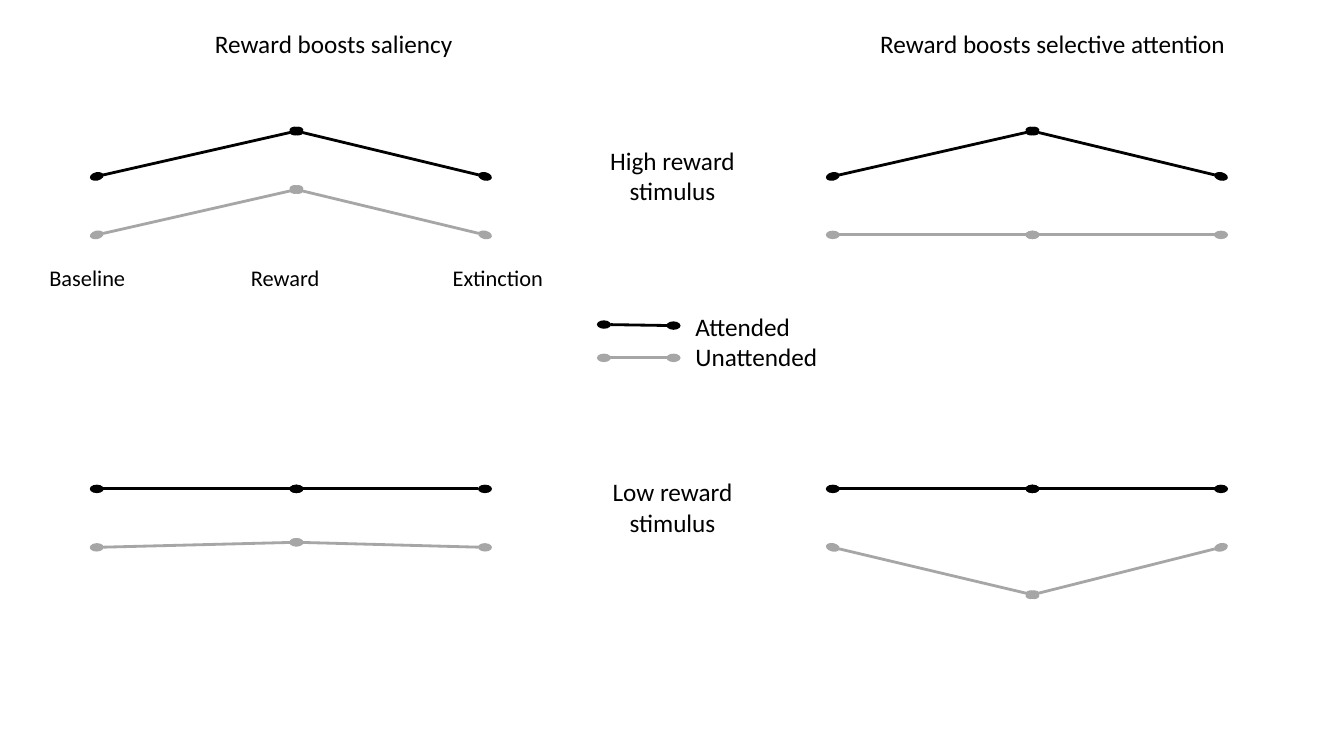
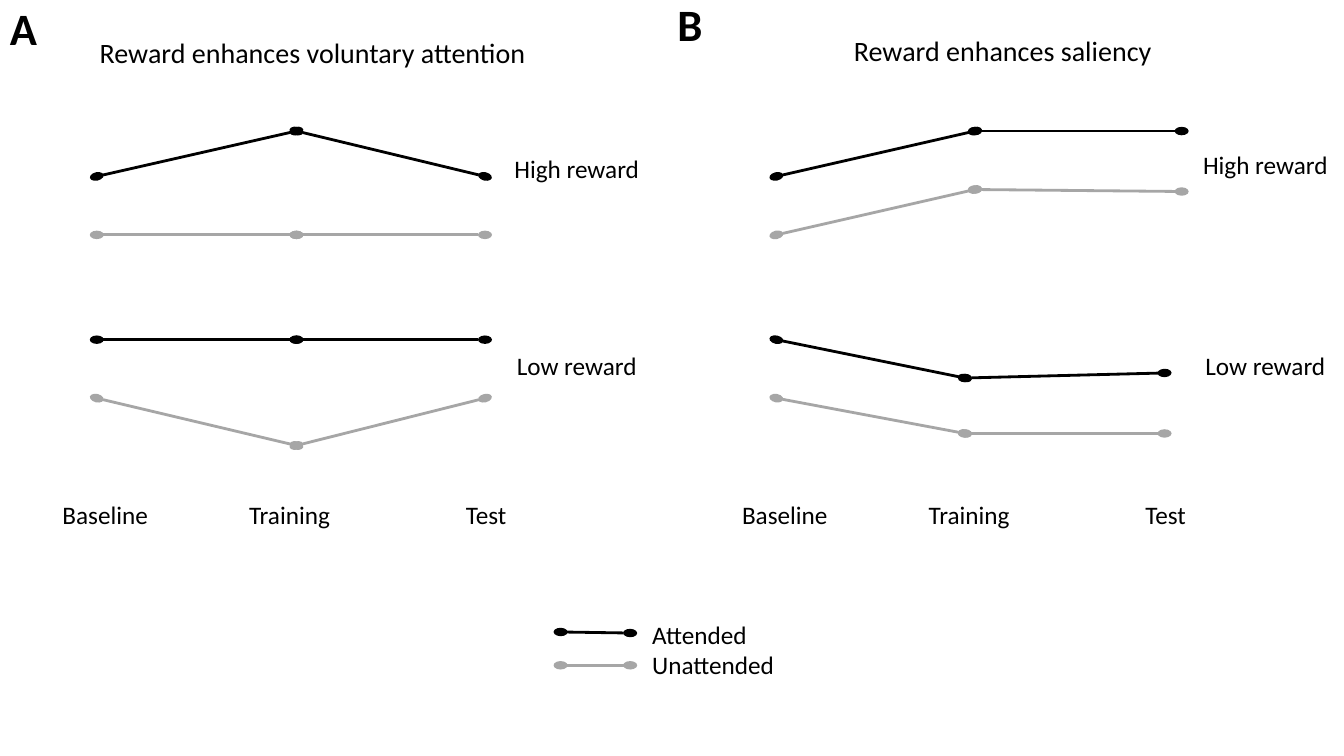
from dataclasses import dataclass
from itertools import pairwise

from lxml.etree import SubElement
from pptx import Presentation
from pptx.dml.color import RGBColor
from pptx.enum.shapes import MSO_CONNECTOR as Connector
from pptx.enum.text import MSO_AUTO_SIZE as AutoSize, PP_ALIGN as Align
from pptx.oxml.ns import qn
from pptx.util import Inches, Pt


@dataclass(frozen=True)
class Theme:
    font: str = "Calibri"
    ink: RGBColor = RGBColor(0, 0, 0)
    muted: RGBColor = RGBColor(0xA6, 0xA6, 0xA6)
    stroke: float = 2
    small: int = 16
    body: int = 18
    title: int = 20
    letter: int = 32


@dataclass(frozen=True)
class Box:
    left: float
    top: float
    width: float
    height: float


THEME = Theme()
COLUMNS, ROWS, CELL = 13.33, 7.5, Inches(1)
STAGES = (0, 1.98, 3.85)
PEAK, FLAT_HIGH = (0.45, 0, 0.45), (1.03, 1.03, 1.03)
RAISED, FLAT_LOW = (1.03, 0.58, 1.03), (0, 0, 0)
BUMP, DIP = (0.58, 0.53, 0.58), (0.58, 1.05, 0.58)


def grid(*cells):
    return [round(cell * CELL) for cell in cells]


def apply(target, values):
    for name, value in values.items():
        setattr(target, name, value)


def add_text(shapes, box, lines, size=THEME.body, align=Align.CENTER, bold=False):
    label = shapes.add_textbox(*grid(box.left, box.top, box.width, box.height))
    frame = label.text_frame
    frame.text = "\n".join(lines)
    apply(frame, {"word_wrap": True, "auto_size": AutoSize.SHAPE_TO_FIT_TEXT})
    for paragraph in frame.paragraphs:
        paragraph.alignment = align
        for run in paragraph.runs:
            apply(run.font, {"name": THEME.font, "size": Pt(size), "bold": bold})
            run.font.color.rgb = THEME.ink
    return frame


def add_stage_names(shapes, box, names, inset, stops, size):
    frame = add_text(shapes, box, ["\t".join(names)], size, Align.LEFT)
    frame.margin_left = grid(inset)[0]
    properties = frame.paragraphs[0]._p.get_or_add_pPr()
    tabs = SubElement(properties, qn("a:tabLst"))
    for stop in grid(*stops):
        SubElement(tabs, qn("a:tab"), pos=str(stop), algn="l")


def add_trend(shapes, box, levels, color, stages=STAGES):
    points = [(box.left + x, box.top + y) for x, y in zip(stages, levels)]
    for start, end in pairwise(points):
        segment = shapes.add_connector(Connector.STRAIGHT, *grid(*start, *end))
        segment.line.color.rgb = color
        segment.line.width = Pt(THEME.stroke)
        outline = segment.line._get_or_add_ln()
        for marker in ("a:headEnd", "a:tailEnd"):
            SubElement(outline, qn(marker), type="oval", w="med", len="lg")
        SubElement(segment._element.spPr, qn("a:effectLst"))


def add_plot(shapes, box, attended, unattended, stages=STAGES):
    add_trend(shapes, box, attended, THEME.ink, stages)
    add_trend(shapes, box, unattended, THEME.muted, stages)


def add_legend(shapes, box):
    key = (0, 0.69)
    add_trend(shapes, box, (0.51, 0.51), THEME.muted, key)
    add_trend(shapes, box, (0.18, 0.19), THEME.ink, key)
    names = Box(box.left + 0.81, box.top, box.width - 0.81, box.height)
    add_text(shapes, names, ["Attended", "Unattended"], align=Align.LEFT)


def add_panel(shapes, box, title, title_box, high, low, high_label_top):
    add_text(shapes, title_box, [title], THEME.title)
    add_plot(shapes, box, *high)
    add_plot(shapes, Box(box.left, box.top + 2.07, box.width, box.height), *low)
    names = Box(box.left - 0.82, box.top + 3.6, 5.36, 0.4)
    add_stage_names(shapes, names, ["Baseline", "Training", "Test"],
                    0.48, (1.85, 4), THEME.body)
    label_left = box.left + box.width
    for name, top in (("High reward", high_label_top), ("Low reward", 3.43)):
        add_text(shapes, Box(label_left, top, 1.8, 0.4), [name])


def build_stimulus_slide(slide):
    shapes = slide.shapes
    hypotheses = (
        ("Reward boosts saliency", Box(1.81, 0.23, 3, 0.4), 0.96,
         (PEAK, RAISED), (FLAT_LOW, BUMP)),
        ("Reward boosts selective attention", Box(8.61, 0.23, 3.66, 0.4), 8.26,
         (PEAK, FLAT_HIGH), (FLAT_LOW, DIP)),
    )
    for title, title_box, left, high, low in hypotheses:
        add_text(shapes, title_box, [title])
        add_plot(shapes, Box(left, 1.3, 3.85, 1.03), *high)
        add_plot(shapes, Box(left, 4.85, 3.85, 1.05), *low)
    for name, top in (("High reward stimulus", 1.39), ("Low reward stimulus", 4.68)):
        add_text(shapes, Box(5.77, top, 1.8, 0.71), [name])
    add_legend(shapes, Box(5.99, 3.04, 2.35, 0.71))
    add_stage_names(shapes, Box(0.26, 2.57, 5.36, 0.37),
                    ["Baseline", "Reward", "Extinction"], 0.23, (2, 4), THEME.small)


def build_training_slide(slide):
    add_legend(slide.shapes, Box(5.56, 6.09, 2.35, 0.71))
    panels = (
        ("A", Box(0, -0.04, 0.46, 0.64), Box(0.96, 1.3, 3.86, 4),
         "Reward enhances voluntary attention", Box(0.48, 0.3, 5.24, 0.44),
         (PEAK, FLAT_HIGH), (FLAT_LOW, DIP), 1.47),
        ("B", Box(6.62, -0.08, 0.46, 0.64), Box(7.7, 1.3, 3.95, 4),
         "Reward enhances saliency", Box(8.34, 0.28, 3.21, 0.44),
         ((0.45, 0, 0), (1.03, 0.58, 0.6), (0, 1.97, 4.02)),
         ((0, 0.38, 0.33), (0.58, 0.93, 0.93), (0, 1.87, 3.85)), 1.43),
    )
    for letter, letter_box, *panel in panels:
        add_panel(slide.shapes.add_group_shape().shapes, *panel)
        add_text(slide.shapes, letter_box, [letter], THEME.letter, Align.LEFT, True)


deck = Presentation()
deck.slide_width, deck.slide_height = grid(COLUMNS, ROWS)
for build in (build_stimulus_slide, build_training_slide):
    build(deck.slides.add_slide(deck.slide_layouts[6]))
deck.save("out.pptx")
